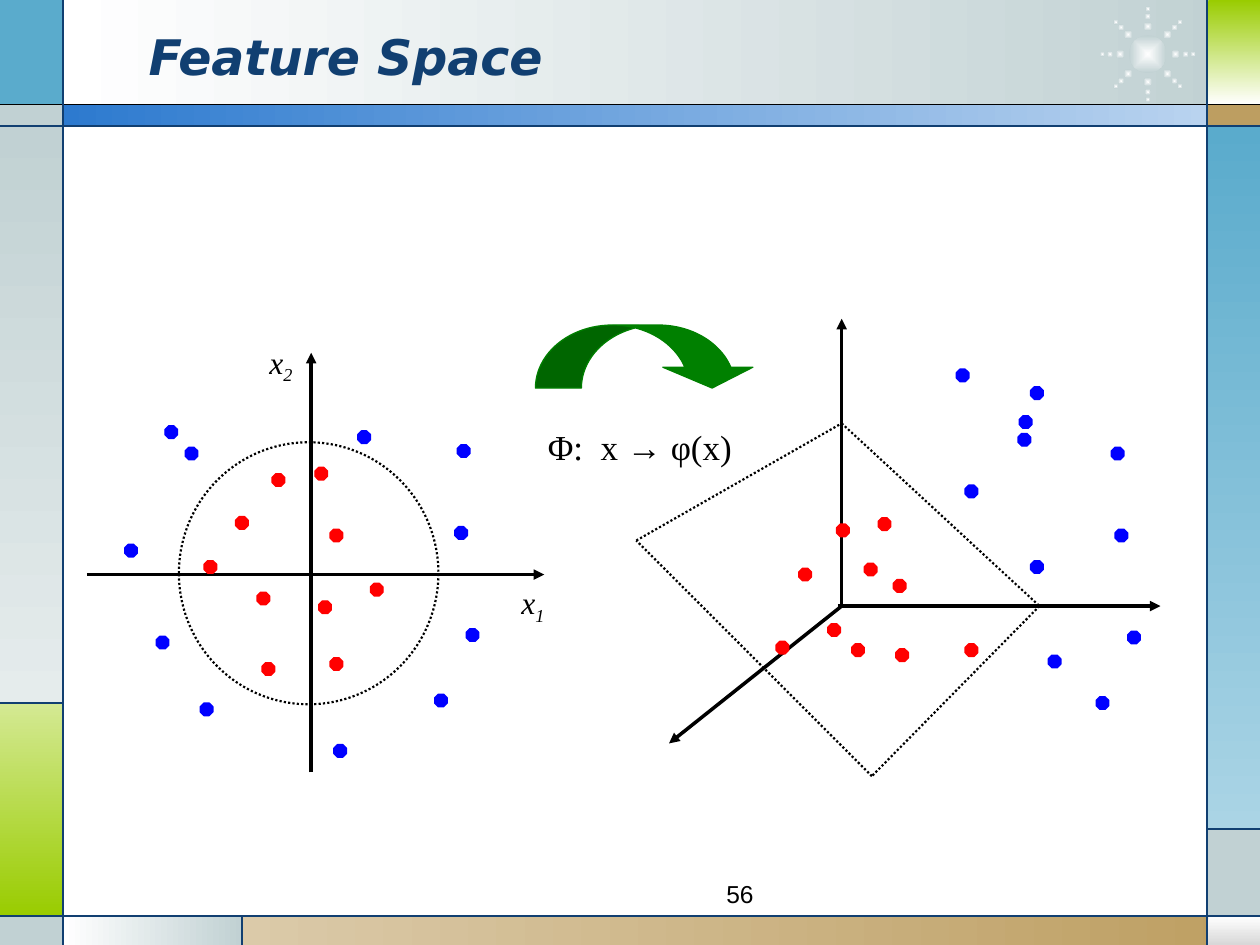
from math import cos, pi, sin

from lxml.etree import SubElement
from pptx import Presentation
from pptx.dml.color import RGBColor
from pptx.enum.dml import MSO_LINE
from pptx.enum.shapes import MSO_CONNECTOR, MSO_SHAPE
from pptx.enum.text import MSO_ANCHOR, PP_ALIGN
from pptx.oxml.ns import qn
from pptx.util import Inches, Pt


class Theme:
    navy, black, white = "113F71", "000000", "FFFFFF"
    mist, pale_mist, silver = "C1D1D3", "E5ECEC", "D8D8D8"
    sky, pale_sky = "5AABCC", "AAD4E5"
    blue, pale_blue = "2D7ACF", "B9D3EF"
    lime, pale_lime = "99CC00", "D4E993"
    tan, pale_tan = "BD9E61", "DBCAA9"
    inner, outer, mapping = "FF0000", "0000FF", "008000"
    heading_font, number_font, math_font = "DejaVu Sans", "Arial", "Times New Roman"
    heading_size, number_size, axis_size, mapping_size = 28, 14, 18, 20
    frame_width, axis_width, boundary_width = 0.75, 2, 1.25


prs = Presentation()
prs.slide_width, prs.slide_height = Inches(10), Inches(7.5)
slide = prs.slides.add_slide(prs.slide_layouts[5])
shapes = slide.shapes


def add_block(kind, box, start=None, end=None, angle=0, outline=None):
    """Add a preset shape; two colours make a gradient, none leaves it hollow."""
    block = shapes.add_shape(kind, *[Inches(v) for v in box])
    block.shadow.inherit = False
    if end:
        block.fill.gradient()
        block.fill.gradient_angle = angle
        for stop, color in zip(block.fill.gradient_stops, (start, end)):
            stop.color.rgb = RGBColor.from_string(color)
    elif start:
        block.fill.solid()
        block.fill.fore_color.rgb = RGBColor.from_string(start)
    else:
        block.fill.background()
    if outline:
        block.line.color.rgb = RGBColor.from_string(outline)
        block.line.width = Pt(Theme.frame_width)
    else:
        block.line.fill.background()
    return block


def write(holder, text, subscript="", *, font, size, color=Theme.black, bold=False,
          italic=False, align=PP_ALIGN.LEFT, anchor=MSO_ANCHOR.TOP):
    frame = holder.text_frame
    frame.word_wrap = True
    frame.vertical_anchor = anchor
    paragraph = frame.paragraphs[0]
    paragraph.alignment = align
    for part in filter(None, (text, subscript)):
        run = paragraph.add_run()
        run.text = part
        run.font.name, run.font.size = font, Pt(size)
        run.font.bold, run.font.italic = bold, italic
        run.font.color.rgb = RGBColor.from_string(color)
    if subscript:
        list(holder.element.iter(qn("a:rPr")))[-1].set("baseline", "-25000")


# Frame panels: box, start colour, end colour, angle (270 runs downwards)
panels = [
    ((0.5, 0, 9.27, 0.84), Theme.white, Theme.mist, 0),
    ((0, 0, 0.5, 0.84), Theme.sky, None, 0),
    ((0, 0.83, 0.5, 0.17), Theme.mist, None, 0),
    ((0, 1, 0.5, 4.58), Theme.mist, Theme.pale_mist, 270),
    ((0, 5.58, 0.5, 1.69), Theme.pale_lime, Theme.lime, 270),
    ((0, 7.27, 0.5, 0.23), Theme.mist, None, 0),
    ((0.5, 7.27, 1.42, 0.23), Theme.white, Theme.mist, 0),
    ((1.92, 7.27, 8.08, 0.23), Theme.pale_tan, Theme.tan, 0),
    ((9.59, 7.27, 0.41, 0.23), Theme.white, Theme.silver, 270),
    ((9.58, 6.58, 0.42, 0.69), Theme.mist, None, 0),
    ((9.58, 1, 0.42, 5.58), Theme.sky, Theme.pale_sky, 270),
    ((9.58, 0.83, 0.42, 0.17), Theme.tan, None, 0),
    ((9.59, 0, 0.41, 0.83), Theme.lime, Theme.white, 270),
    ((0.5, 0.83, 9.08, 0.17), Theme.blue, Theme.pale_blue, 0),
]
for box, start, end, angle in panels:
    add_block(MSO_SHAPE.RECTANGLE, box, start, end, angle)

# Starburst: a core and eight rays of three shrinking beads
burst_x, burst_y = 9.11, 0.43
beads = [(burst_x, burst_y, 0.3)]
for ray in range(8):
    for radius, size in ((0.22, 0.07), (0.3, 0.05), (0.36, 0.04)):
        beads.append((burst_x + radius * cos(ray * pi / 4),
                      burst_y + radius * sin(ray * pi / 4), size))
for x, y, size in beads:
    bead = add_block(MSO_SHAPE.OVAL, (x - size / 2, y - size / 2, size, size),
                     Theme.white, Theme.mist)
    gradient = bead.element.spPr.find(qn("a:gradFill"))
    gradient.remove(gradient.find(qn("a:lin")))
    glow = SubElement(gradient, qn("a:path"), path="rect")
    SubElement(glow, qn("a:fillToRect"), l="50000", t="50000", r="50000", b="50000")

# Frame rules, axes and the edges of the separating plane
rules = [
    (0, 1, 10, 1), (0, 7.27, 10, 7.27), (0.5, 0, 0.5, 7.5), (9.58, 0, 9.58, 7.5),
    (0.5, 5.58, 0, 5.58), (1.92, 7.27, 1.92, 7.5), (9.58, 6.58, 10, 6.58),
]
axes = [
    (6.68, 4.81, 6.68, 2.53), (6.65, 4.81, 9.21, 4.81), (6.68, 4.81, 5.31, 5.9),
    (2.47, 6.13, 2.47, 2.8), (0.69, 4.56, 4.32, 4.56),
]
corners = [(6.68, 3.36), (8.25, 4.81), (6.92, 6.16), (5.05, 4.29)]
edges = [a + b for a, b in zip(corners, corners[1:] + corners[:1])]
line_groups = [
    ([(0, 0.83, 10, 0.83)], Theme.black, Theme.frame_width, None, False),
    (rules, Theme.navy, Theme.frame_width, None, False),
    (axes, Theme.black, Theme.axis_width, None, True),
    (edges, Theme.black, Theme.boundary_width, MSO_LINE.ROUND_DOT, False),
]
for segments, color, width, dash, arrow in line_groups:
    for ends in segments:
        segment = shapes.add_connector(MSO_CONNECTOR.STRAIGHT, *[Inches(v) for v in ends])
        segment.line.color.rgb = RGBColor.from_string(color)
        segment.line.width = Pt(width)
        if dash:
            segment.line.dash_style = dash
        properties = segment.element.spPr
        if arrow:
            SubElement(properties.find(qn("a:ln")), qn("a:tailEnd"), type="triangle")
        SubElement(properties, qn("a:effectLst"))

# Circular class boundary in the input space
boundary = add_block(MSO_SHAPE.OVAL, (1.42, 3.51, 2.06, 2.08), outline=Theme.black)
boundary.line.width = Pt(Theme.boundary_width)
boundary.line.dash_style = MSO_LINE.ROUND_DOT

# Data points of both classes, input space first, then feature space
inner_points = [
    (2.5, 3.71), (1.87, 4.1), (2.04, 4.7), (2.62, 5.22), (2.16, 3.76),
    (1.62, 4.45), (2.08, 5.26), (2.62, 4.2), (2.94, 4.63), (2.53, 4.77),
    (6.97, 4.11), (6.34, 4.51), (6.76, 5.11), (7.66, 5.11), (6.64, 4.16),
    (6.86, 4.47), (7.11, 5.15), (7.09, 4.6), (6.57, 4.95), (6.16, 5.09),
]
outer_points = [
    (3.61, 4.18), (3.45, 5.51), (0.99, 4.32), (2.65, 5.91), (3.7, 4.99), (1.59, 5.58),
    (1.24, 5.05), (1.31, 3.38), (2.84, 3.42), (1.47, 3.55), (3.63, 3.53),
    (8.85, 4.2), (8.7, 5.53), (8.18, 3.07), (8.18, 4.45), (8.95, 5.01), (7.66, 3.85),
    (8.32, 5.2), (8.09, 3.3), (8.08, 3.44), (7.59, 2.93), (8.82, 3.55),
]
for points, color in ((inner_points, Theme.inner), (outer_points, Theme.outer)):
    for x, y in points:
        add_block(MSO_SHAPE.OCTAGON, (x, y, 0.1, 0.1), color, outline=color)

# Mapping arrow
mapping = add_block(MSO_SHAPE.CURVED_DOWN_ARROW, (4.25, 2.58, 1.76, 0.5),
                    Theme.mapping, outline=Theme.mapping)
for index, value in enumerate((0.73, 1.43, 0.33)):
    mapping.adjustments[index] = value

# Title, raised above the frame panels
title = shapes.title
title.left, title.top, title.width, title.height = [
    Inches(v) for v in (1.08, 0.13, 7.33, 0.62)]
write(title, "Feature Space", font=Theme.heading_font, size=Theme.heading_size,
      color=Theme.navy, bold=True, italic=True, anchor=MSO_ANCHOR.MIDDLE)
title.element.getparent().append(title.element)

# Axis labels, mapping formula and page number
axis_style = dict(font=Theme.math_font, size=Theme.axis_size, italic=True)
labels = [
    ((4.04, 4.58, 0.5, 0.44), ("x", "1"), axis_style),
    ((2.04, 2.67, 0.5, 0.44), ("x", "2"), axis_style),
    ((4.25, 3.33, 2.08, 0.48), ("Φ:  x → φ(x)",),
     dict(font=Theme.math_font, size=Theme.mapping_size)),
    ((3.75, 6.93, 2.33, 0.27), ("56",),
     dict(font=Theme.number_font, size=Theme.number_size, align=PP_ALIGN.RIGHT)),
]
for box, words, style in labels:
    write(shapes.add_textbox(*[Inches(v) for v in box]), *words, **style)

prs.save("out.pptx")
